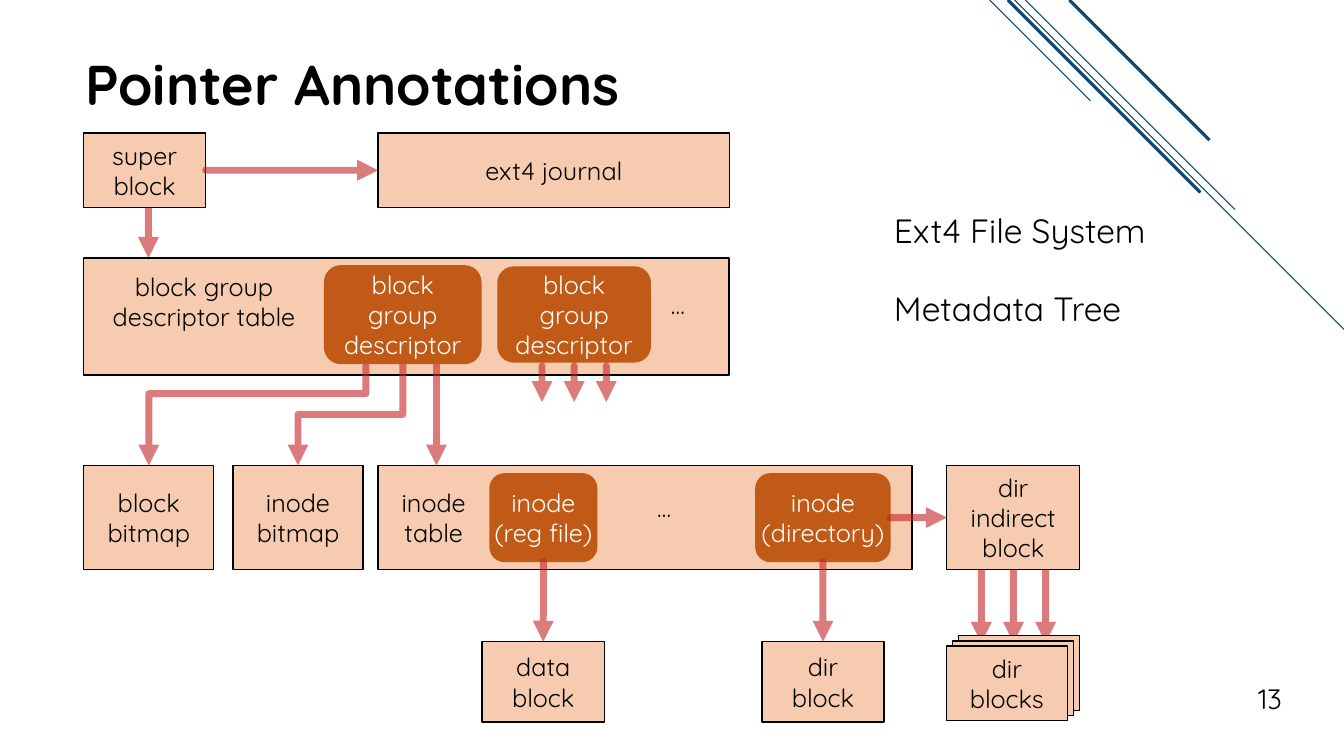
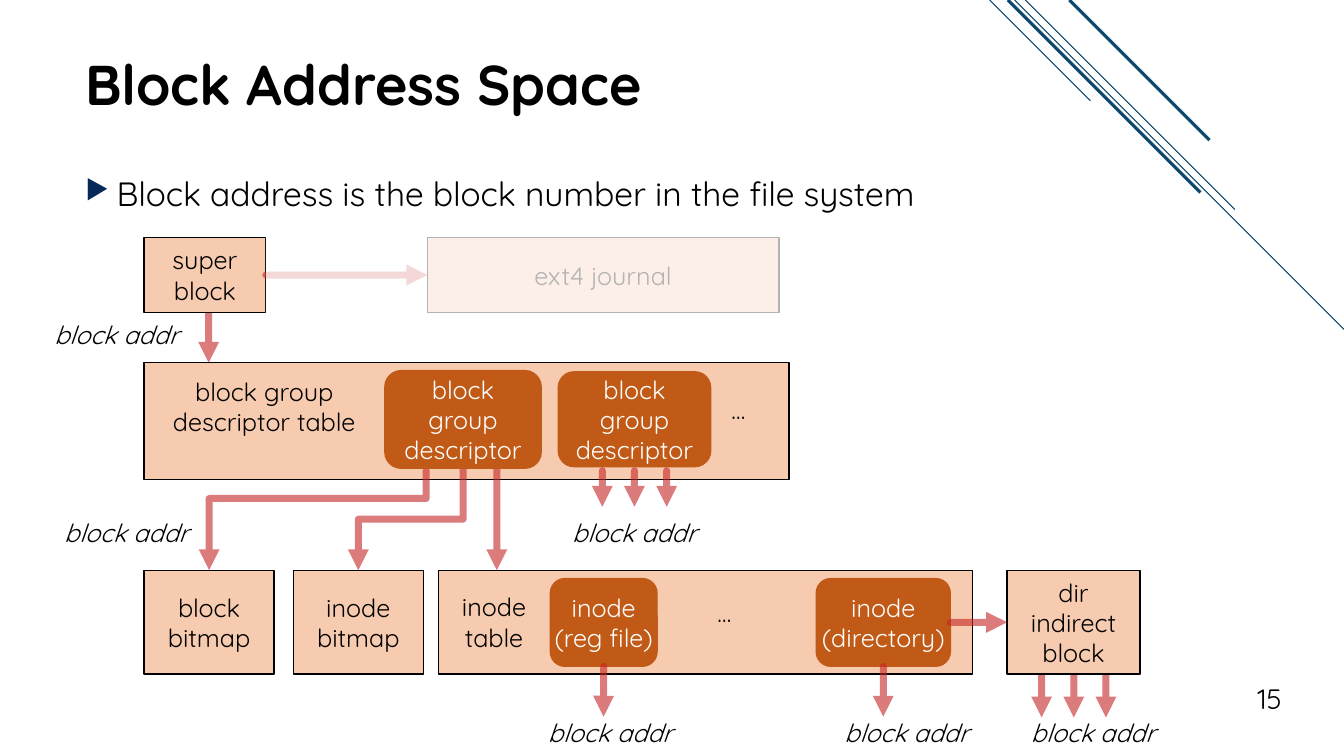
import lxml.etree
import pptx
import pptx.dml.color
import pptx.enum.shapes
import pptx.enum.text
import pptx.oxml.ns
import pptx.util

Cm = pptx.util.Cm
Pt = pptx.util.Pt
qn = pptx.oxml.ns.qn
SHAPE = pptx.enum.shapes.MSO_SHAPE
CONNECTOR = pptx.enum.shapes.MSO_CONNECTOR
ANCHOR = pptx.enum.text.MSO_ANCHOR
ALIGN = pptx.enum.text.PP_ALIGN

FONT = "Quicksand"
COLORS = {
    "text": "000000",
    "light": "FFFFFF",
    "block": "F6CBAF",
    "entry": "C15A16",
    "pointer": "C62324",
    "stripe": "0F486F",
    "bullet": "062958",
}
TOP, LEFT, BOTTOM, RIGHT = range(4)
STRIPES = [  # start, horizontal and vertical run in cm, width in points
    (24.94, 2.54, 0.75),
    (25.57, 8.3, 0.75),
    (25.84, 5.28, 0.75),
    (25.4, 4.85, 2.25),
    (26.95, 3.53, 2.25),
]
ARROW_STEP = 0.81


def color(name):
    return pptx.dml.color.RGBColor.from_string(COLORS[name])


def add_child(parent, tag, **attributes):
    return lxml.etree.SubElement(parent, qn(tag), attributes)


def set_opacity(element, percent):
    srgb = next(element.iter(qn("a:srgbClr")))
    add_child(srgb, "a:alpha", val=str(percent * 1000))


def write_text(shape, text, size=18, fill="text", bold=False, italic=False,
               align=ALIGN.CENTER, anchor=ANCHOR.MIDDLE, wrap=True,
               side_inset=0.25, gap=0, bullet=None):
    """Write one paragraph per line; gap is the space between them in points."""
    frame = shape.text_frame
    frame.word_wrap = wrap
    frame.vertical_anchor = anchor
    frame.margin_left = frame.margin_right = Cm(side_inset)
    frame.margin_top = frame.margin_bottom = Cm(0.13)
    for index, line in enumerate(text.split("\n")):
        paragraph = frame.add_paragraph() if index else frame.paragraphs[0]
        paragraph.alignment = align
        if index and gap:
            paragraph.space_before = Pt(gap)
        if bullet:
            add_bullet(paragraph, bullet)
        run = paragraph.add_run()
        run.text = line
        font = run.font
        font.name, font.size = FONT, Pt(size)
        font.bold, font.italic = bold, italic
        font.color.rgb = color(fill)


def add_bullet(paragraph, character):
    properties = paragraph._p.get_or_add_pPr()
    properties.set("marL", str(Cm(0.79)))
    properties.set("indent", str(-Cm(0.79)))
    bullet_color = add_child(properties, "a:buClr")
    add_child(bullet_color, "a:srgbClr", val=COLORS["bullet"])
    add_child(properties, "a:buSzPct", val="80000")
    add_child(properties, "a:buChar", char=character)


def add_line(slide, start, end, line_color, width, kind=CONNECTOR.STRAIGHT):
    line = slide.shapes.add_connector(kind, *(Cm(value) for value in (*start, *end)))
    line.line.color.rgb = color(line_color)
    line.line.width = Pt(width)
    add_child(line.element.spPr, "a:effectLst")
    return line


class Region:
    """Places parts on a slide relative to one corner, in cm."""

    def __init__(self, slide, left=0, top=0):
        self.slide, self.left, self.top = slide, left, top

    def shift(self, x, y):
        return self.left + x, self.top + y

    def text(self, box, text, **style):
        left, top, width, height = box
        shape = self.slide.shapes.add_textbox(
            *map(Cm, (*self.shift(left, top), width, height)))
        write_text(shape, text, **style)

    def shape(self, kind, box, fill, outline=None):
        left, top, width, height = box
        shape = self.slide.shapes.add_shape(
            kind, *map(Cm, (*self.shift(left, top), width, height)))
        shape.shadow.inherit = False
        shape.fill.solid()
        shape.fill.fore_color.rgb = color(fill)
        if outline:
            shape.line.color.rgb = color(outline)
            shape.line.width = Pt(1)
        else:
            shape.line.fill.background()
        return shape

    def block(self, box, text=""):
        shape = self.shape(SHAPE.RECTANGLE, box, "block", "text")
        if text:
            write_text(shape, text)
        return shape

    def entry(self, box, text, **style):
        shape = self.shape(SHAPE.ROUNDED_RECTANGLE, box, "entry", "entry")
        write_text(shape, text, fill="light", **style)
        return shape

    def pointer(self, start, end, kind=CONNECTOR.STRAIGHT):
        connector = add_line(self.slide, self.shift(*start), self.shift(*end),
                             "pointer", 5, kind)
        outline = connector.element.spPr.find(qn("a:ln"))
        outline.set("cap", "rnd")
        set_opacity(outline, 60)
        add_child(outline, "a:tailEnd", type="triangle")
        return connector

    def join(self, source, source_side, target, target_side):
        connector = self.pointer((0, 0), (1, 1))
        connector.begin_connect(source, source_side)
        connector.end_connect(target, target_side)

    def bent_pointer(self, start, end, bend):
        """Go down, sideways and down again; bend is the share of the first drop."""
        middle_x, middle_y = (start[0] + end[0]) / 2, (start[1] + end[1]) / 2
        half_drop, half_run = (end[1] - start[1]) / 2, (start[0] - end[0]) / 2
        connector = self.pointer((middle_x - half_drop, middle_y - half_run),
                                 (middle_x + half_drop, middle_y + half_run),
                                 CONNECTOR.ELBOW)
        properties = connector.element.spPr
        properties.find(qn("a:xfrm")).set("rot", "5400000")
        geometry = properties.find(qn("a:prstGeom"))
        guides = geometry.find(qn("a:avLst"))
        if guides is None:
            guides = add_child(geometry, "a:avLst")
        add_child(guides, "a:gd", name="adj1", fmla=f"val {round(bend * 100000)}")

    def three_pointers(self, center, top, bottom):
        for step in (-1, 0, 1):
            x = center + step * ARROW_STEP
            self.pointer((x, top), (x, bottom))


def add_base_slide(presentation, title, number):
    slide = presentation.slides.add_slide(presentation.slide_layouts[6])
    for start, run, width in STRIPES:
        add_line(slide, (start, 0), (start + run, run), "stripe", width)
    page = Region(slide)
    page.text((1.9, 0, 28.58, 4.19), title, size=40, bold=True, align=ALIGN.LEFT)
    page.text((30.48, 16.81, 2.08, 1.35), number, size=20,
              align=ALIGN.RIGHT, anchor=ANCHOR.BOTTOM)
    return page


def add_metadata_tree(slide, left, top, journal_left, fan_bottom):
    """Draw the tree and return its region and the two inode entries."""
    tree = Region(slide, left, top)
    row = 8.38

    tree.three_pointers(23.43, 10.95, fan_bottom)
    tree.pointer((1.63, 1.88), (1.63, 3.15))
    super_block = tree.block((0, 0, 3.07, 1.88), "super\nblock")
    journal = tree.block((journal_left, 0, 8.86, 1.88), "ext4 journal")
    tree.join(super_block, RIGHT, journal, LEFT)

    tree.block((0, 3.15, 16.26, 2.95))
    tree.text((0.25, 3.38, 5.56, 1.75), "block group descriptor table")
    tree.block((0, row, 3.28, 2.62), "block\nbitmap")
    tree.block((3.76, row, 3.28, 2.62), "inode\nbitmap")
    tree.block((7.42, row, 13.46, 2.62))
    tree.text((7.65, 8.86, 2.34, 1.65), "inode\ntable")
    indirect = tree.block((21.75, row, 3.35, 2.62), "dir\nindirect\nblock")

    tree.bent_pointer((7.11, 5.87), (1.64, row), 0.28)
    tree.bent_pointer((8.04, 5.81), (5.4, row), 0.5)
    tree.pointer((8.89, 5.81), (8.89, row))
    descriptor = "block group descriptor"
    tree.entry((6.07, 3.35, 3.94, 2.46), descriptor)
    tree.entry((10.44, 3.38, 3.84, 2.39), descriptor)
    tree.three_pointers(12.36, 5.87, 6.78)

    file_inode = tree.entry((10.24, 8.59, 2.69, 2.21), "inode\n(reg file)", side_inset=0)
    dir_inode = tree.entry((16.94, 8.59, 3.38, 2.21), "inode\n(directory)", side_inset=0)
    tree.join(dir_inode, RIGHT, indirect, LEFT)
    for x, y in ((14.55, 3.81), (14.2, 8.92)):
        tree.text((x, y, 1.14, 1.02), "…", wrap=False,
                  align=ALIGN.LEFT, anchor=ANCHOR.TOP)
    return tree, file_inode, dir_inode


def add_pointer_slide(presentation):
    page = add_base_slide(presentation, "Pointer Annotations", "13")
    page.text((22.28, 5.16, 7.04, 2.31), "Ext4 File System\nMetadata Tree", size=24,
              align=ALIGN.LEFT, anchor=ANCHOR.TOP, wrap=False, gap=27)
    tree, file_inode, dir_inode = add_metadata_tree(page.slide, 2.11, 3.35, 7.42, 12.85)
    for inode, center, text in ((file_inode, 11.58, "data\nblock"),
                                (dir_inode, 18.63, "dir\nblock")):
        leaf = tree.block((center - 1.54, 12.82, 3.08, 2.03), text)
        tree.join(inode, BOTTOM, leaf, TOP)
    for depth, text in ((2, ""), (1, ""), (0, "dir\nblocks")):
        tree.block((21.74 + 0.15 * depth, 12.93 - 0.13 * depth, 3.05, 1.88), text)


def add_address_slide(presentation):
    page = add_base_slide(presentation, "Block Address Space", "15")
    page.text((1.9, 4.22, 28.58, 1.4),
              "Block address is the block number in the file system", size=24,
              align=ALIGN.LEFT, anchor=ANCHOR.TOP, bullet="▶")
    tree, file_inode, dir_inode = add_metadata_tree(page.slide, 3.63, 5.99, 7.14, 12.09)
    for inode, center in ((file_inode, 11.58), (dir_inode, 18.63)):
        pointer = tree.pointer((center, 10.8), (center, 12.07))
        pointer.begin_connect(inode, BOTTOM)
    for x, y in ((-2.64, 1.9), (-2.39, 6.88), (10.41, 6.88),
                 (9.8, 11.91), (17.27, 11.91), (21.97, 11.91)):
        tree.text((x, y, 3.89, 1.09), "block addr", italic=True)
    veil = tree.shape(SHAPE.RECTANGLE, (3.07, -0.15, 14.35, 2.59), "light")
    set_opacity(veil.element.spPr, 70)


def main():
    presentation = pptx.Presentation()
    presentation.slide_width = Cm(33.87)
    presentation.slide_height = Cm(19.05)
    add_pointer_slide(presentation)
    add_address_slide(presentation)
    presentation.save("out.pptx")


if __name__ == "__main__":
    main()
